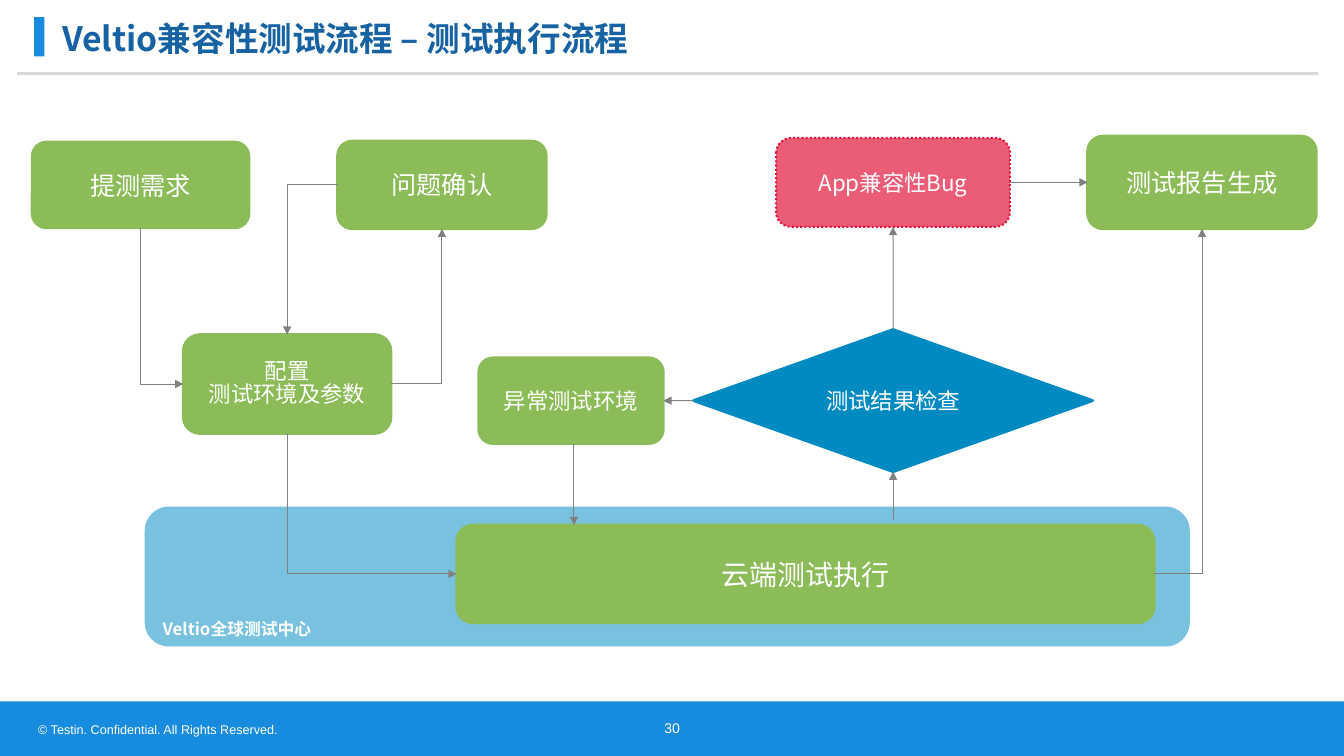
import pptx
import pptx.util
import pptx.dml.color
import pptx.enum.dml
import pptx.enum.shapes
import pptx.enum.text
import pptx.oxml.ns
from lxml import etree

Pt = pptx.util.Pt
SHAPE = pptx.enum.shapes.MSO_SHAPE
CONNECTOR = pptx.enum.shapes.MSO_CONNECTOR
ALIGN = pptx.enum.text.PP_ALIGN
ANCHOR = pptx.enum.text.MSO_ANCHOR
qn = pptx.oxml.ns.qn

COLORS = {
    "white": "FFFFFF", "bar": "178BDD", "title": "1662A2", "rule": "000000",
    "step": "8BBC58", "check": "008AC2", "center": "78C2E0",
    "bug": "E3173E", "arrow": "808080",
}
CJK_FONT = "Noto Sans CJK SC"
TOP, LEFT, BOTTOM, RIGHT = range(4)


def rgb(name):
    return pptx.dml.color.RGBColor.from_string(COLORS[name])


def set_alpha(fill_parent, percent):
    color = fill_parent.find(qn("a:solidFill"))[0]
    etree.SubElement(color, qn("a:alpha")).set("val", str(percent * 1000))


def write_text(shape, lines, size, color="white", font=CJK_FONT, bold=False,
               align=ALIGN.LEFT, anchor=ANCHOR.TOP):
    frame = shape.text_frame
    frame.word_wrap = True
    frame.vertical_anchor = anchor
    for index, line in enumerate(lines):
        paragraph = frame.paragraphs[0] if index == 0 else frame.add_paragraph()
        paragraph.alignment = align
        if len(lines) > 1:
            paragraph.line_spacing = 0.84
        run = paragraph.add_run()
        run.text = line
        run.font.size = Pt(size)
        run.font.bold = bold
        run.font.color.rgb = rgb(color)
        run.font.name = font
        etree.SubElement(run._r.rPr, qn("a:ea")).set("typeface", font)
    return frame


def add_label(slide, box, text, size, **style):
    label = slide.shapes.add_textbox(*map(Pt, box))
    return write_text(label, [text], size, **style)


def add_block(slide, kind, box, color, line_width=0):
    block = slide.shapes.add_shape(kind, *map(Pt, box))
    block.shadow.inherit = False
    block.fill.solid()
    block.fill.fore_color.rgb = rgb(color)
    if line_width:
        block.line.color.rgb = rgb(color)
        block.line.width = Pt(line_width)
    else:
        block.line.fill.background()
    return block


def add_step(slide, box, lines, size, color="step", kind=SHAPE.ROUNDED_RECTANGLE, line_width=2):
    step = add_block(slide, kind, box, color, line_width)
    write_text(step, lines, size, align=ALIGN.CENTER, anchor=ANCHOR.MIDDLE)
    return step


def add_line(slide, start, end, color, width, kind=CONNECTOR.STRAIGHT):
    line = slide.shapes.add_connector(kind, *map(Pt, start + end))
    line.line.color.rgb = rgb(color)
    line.line.width = Pt(width)
    etree.SubElement(line._element.spPr, qn("a:effectLst"))
    return line


def add_arrow(slide, start=(0, 0), end=(0, 0), source=None, target=None, kind=CONNECTOR.STRAIGHT):
    arrow = add_line(slide, start, end, "arrow", 0.75, kind)
    if source:
        arrow.begin_connect(*source)
    if target:
        arrow.end_connect(*target)
    etree.SubElement(arrow.line._get_or_add_ln(), qn("a:tailEnd")).set("type", "triangle")
    return arrow


def add_elbow(slide, source, target):
    elbow = add_arrow(slide, source=source, target=target, kind=CONNECTOR.ELBOW)
    properties = elbow._element.spPr
    properties.find(qn("a:prstGeom")).set("prst", "bentConnector2")
    if source[1] == BOTTOM:
        center_x = elbow.left + elbow.width // 2
        center_y = elbow.top + elbow.height // 2
        elbow.width, elbow.height = elbow.height, elbow.width
        elbow.left = center_x - elbow.width // 2
        elbow.top = center_y - elbow.height // 2
        transform = properties.find(qn("a:xfrm"))
        transform.set("rot", str(270 * 60000))
        transform.set("flipH", "1")


def add_frame(slide):
    add_block(slide, SHAPE.RECTANGLE, (0, 501, 960, 39), "bar")
    rule = add_line(slide, (12.2, 52.6), (941.8, 52.6), "rule", 2)
    set_alpha(rule.line._get_or_add_ln(), 15)
    add_block(slide, SHAPE.RECTANGLE, (24.5, 12.2, 7.2, 28.1), "bar")
    number = add_label(slide, (458.6, 500.4, 43.2, 39.6), "30", 10, font="Arial",
                       align=ALIGN.CENTER, anchor=ANCHOR.MIDDLE)
    number.margin_left = number.margin_right = number.margin_top = number.margin_bottom = 0
    add_label(slide, (20.2, 511.9, 388, 26.6),
              "© Testin. Confidential. All Rights Reserved.", 9, font="Arial")
    add_label(slide, (37.4, 7.9, 920.9, 38.9), "Veltio兼容性测试流程 – 测试执行流程", 24,
              color="title", bold=True, anchor=ANCHOR.MIDDLE)


def add_flow(slide):
    center = add_block(slide, SHAPE.ROUNDED_RECTANGLE, (104.4, 362.9, 744.5, 97.9), "center", 2)
    write_text(center, ["Veltio全球测试中心"], 12, bold=True, anchor=ANCHOR.BOTTOM).margin_bottom = 0

    request = add_step(slide, (23, 101.5, 154.8, 61.2), ["提测需求"], 18)
    confirm = add_step(slide, (241.2, 100.8, 149, 62.6), ["问题确认"], 18)
    report = add_step(slide, (776.9, 97.2, 163.4, 66.2), ["测试报告生成"], 18)
    check = add_step(slide, (495.4, 235.4, 285.1, 101.5), ["测试结果检查"], 16, "check", SHAPE.DIAMOND)
    execute = add_step(slide, (326.2, 375.1, 498.2, 69.8), ["云端测试执行"], 20)
    bug = add_step(slide, (554.4, 98.6, 167, 63.4), ["App兼容性Bug"], 16, "bug", line_width=1.5)
    set_alpha(bug._element.spPr, 70)
    bug.line.dash_style = pptx.enum.dml.MSO_LINE.ROUND_DOT
    abnormal = add_step(slide, (342, 255.6, 131.8, 61.2), ["异常测试环境"], 16)
    configure = add_step(slide, (131, 239, 148.3, 70.6), ["配置", "测试环境及参数"], 16)

    for source, target in (
        ((configure, RIGHT), (confirm, BOTTOM)),
        ((confirm, LEFT), (configure, TOP)),
        ((execute, RIGHT), (report, BOTTOM)),
        ((request, BOTTOM), (configure, LEFT)),
        ((configure, BOTTOM), (execute, LEFT)),
    ):
        add_elbow(slide, source, target)
    for source, target in (
        ((check, LEFT), (abnormal, RIGHT)),
        ((bug, RIGHT), (report, LEFT)),
        ((check, TOP), (bug, BOTTOM)),
    ):
        add_arrow(slide, source=source, target=target)
    add_arrow(slide, (410, 316.8), (410, 375.1))
    add_arrow(slide, start=(637.95, 371.5), target=(check, BOTTOM))


def main():
    presentation = pptx.Presentation()
    presentation.slide_width = Pt(960)
    presentation.slide_height = Pt(540)
    slide = presentation.slides.add_slide(presentation.slide_layouts[6])
    add_frame(slide)
    add_flow(slide)
    presentation.save("out.pptx")


if __name__ == "__main__":
    main()
